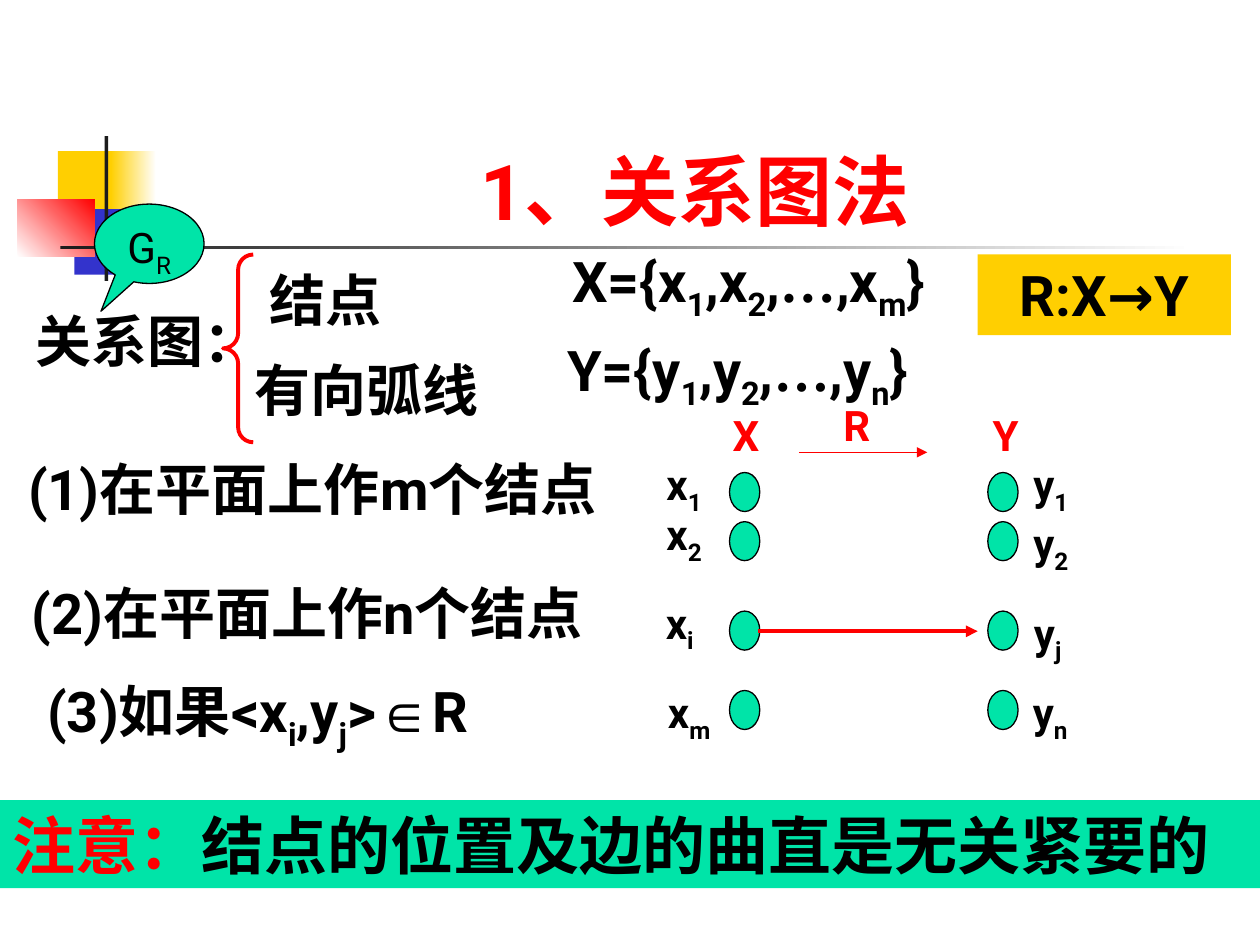
from itertools import groupby
from lxml.etree import SubElement
from pptx import Presentation
from pptx.dml.color import RGBColor
from pptx.enum.shapes import MSO_CONNECTOR, MSO_SHAPE
from pptx.enum.text import MSO_ANCHOR, MSO_AUTO_SIZE, PP_ALIGN
from pptx.oxml.ns import qn
from pptx.util import Inches, Pt

THEME = {
    "red": RGBColor(0xFF, 0x00, 0x00),
    "black": RGBColor(0x00, 0x00, 0x00),
    "white": RGBColor(0xFF, 0xFF, 0xFF),
    "ink": RGBColor(0x1C, 0x1C, 0x1C),
    "yellow": RGBColor(0xFF, 0xCF, 0x01),
    "blue": RGBColor(0x33, 0x33, 0xCC),
    "green": RGBColor(0x00, 0xE4, 0xA8),
    "title": 44, "note": 36, "body": 32, "label": 24,
    "thin": 0.75, "thick": 2.25,
    "font": "Roboto",
    "symbol fonts": {"…": "Times New Roman", "∈": "Arial"},
}

presentation = Presentation()
presentation.slide_width, presentation.slide_height = Inches(10), Inches(7.5)
CELL = presentation.slide_width / 100
slide = presentation.slides.add_slide(presentation.slide_layouts[5])


def add_box(kind, box, fill=None, line=None, weight="thin"):
    left, top, width, height = (int(cells * CELL) for cells in box)
    if kind is None:
        return slide.shapes.add_textbox(left, top, width, height)
    shape = slide.shapes.add_shape(kind, left, top, width, height)
    shape.shadow.inherit = False
    if fill is None:
        shape.fill.background()
    elif isinstance(fill, str):
        shape.fill.solid()
        shape.fill.fore_color.rgb = THEME[fill]
    else:
        start, end, angle = fill
        shape.fill.gradient()
        shape.fill.gradient_angle = angle
        for stop, color in zip(shape.fill.gradient_stops, (start, end)):
            stop.color.rgb = THEME[color]
    if line:
        shape.line.color.rgb = THEME[line]
        shape.line.width = Pt(THEME[weight])
    else:
        shape.line.fill.background()
    return shape


def write(shape, pieces, size, bold=True, align=PP_ALIGN.CENTER, **frame_format):
    frame_values = {"word_wrap": True, "auto_size": MSO_AUTO_SIZE.SHAPE_TO_FIT_TEXT,
                    "vertical_anchor": MSO_ANCHOR.TOP, **frame_format}
    for name, value in frame_values.items():
        setattr(shape.text_frame, name, value)
    paragraph = shape.text_frame.paragraphs[0]
    paragraph.alignment = align
    for text, color in pieces:
        marked = [(character, before == "_") for before, character in zip(" " + text, text)
                  if character != "_"]
        styled = groupby(marked, lambda item: (item[1], THEME["symbol fonts"].get(item[0], THEME["font"])))
        for (subscript, typeface), characters in styled:
            run = paragraph.add_run()
            run.text = "".join(character for character, _ in characters)
            for name, value in {"name": typeface, "size": Pt(THEME[size]), "bold": bold}.items():
                setattr(run.font, name, value)
            run.font.color.rgb = THEME[color]
            properties = run.font._element if hasattr(run.font, "_element") else run._r.get_or_add_rPr()
            SubElement(properties, qn("a:ea"), typeface=typeface)
            if subscript:
                properties.set("baseline", "-25000")


decorations = [
    ((4.6, 12, 4.8, 5.2), "yellow"),
    ((8.8, 12, 3.6, 5.2), ("yellow", "white", 0)),
    ((5.9, 16.6, 4.6, 5.2), "blue"),
    ((10, 16.6, 4, 5.2), ("blue", "white", 0)),
    ((1.4, 15.8, 6.1, 4.6), ("white", "red", 45)),
    ((8.3, 10.8, 0.3, 11.5), "ink"),
    ((4.8, 19.5, 90, 0.3), ("ink", "white", 0)),
]
for box, fill in decorations:
    add_box(MSO_SHAPE.RECTANGLE, box, fill)

title = slide.shapes.title
for name, cells in {"left": 12.6, "top": 6.7, "width": 85.2, "height": 12.5}.items():
    setattr(title, name, int(cells * CELL))
write(title, [("1、关系图法", "red")], "title",
      auto_size=MSO_AUTO_SIZE.NONE, vertical_anchor=MSO_ANCHOR.BOTTOM)

note = add_box(MSO_SHAPE.RECTANGLE, (0, 63.5, 100, 7), "green")
write(note, [("注意：", "red"), ("结点的位置及边的曲直是无关紧要的", "black")],
      "note", align=PP_ALIGN.LEFT)

brace = add_box(MSO_SHAPE.LEFT_BRACE, (17.7, 20.2, 2.4, 14.9), None, "red", "thick")
brace.adjustments[0] = 0.5

statements = [
    ("关系图：", (1, 23.8, 21.4, 6.4), True),
    ("结点", (19.8, 20.6, 12.1, 6.4), True),
    ("有向弧线", (19.2, 27.7, 19.8, 6.4), False),
    ("X={x_1,x_2,…,x_m}", (43.2, 19.1, 32.4, 7.1), False),
    ("Y={y_1,y_2,…,y_n}", (42.9, 26.1, 31.3, 7.1), False),
    ("(1)在平面上作m个结点", (-0.4, 35.6, 50.4, 11.7), True),
    ("(2)在平面上作n个结点", (-0.4, 45.4, 49.6, 6.4), True),
    ("(3)如果<x_i,y_j>∈R", (-0.4, 53.2, 41.7, 7.1), True),
]
for text, box, wrap in statements:
    write(add_box(None, box), [(text, "black")], "body", word_wrap=wrap)

relation = add_box(MSO_SHAPE.RECTANGLE, (77.6, 20.2, 20.1, 6.4), "yellow")
write(relation, [("R:X→Y", "black")], "body")

node_tops = (37.5, 41.4, 48.5, 54.8)
node_columns = [
    (57.9, [("x_1", 51.8, 35.9, 5), ("x_2", 51.8, 39.9, 5),
            ("x_i", 51.7, 46.9, 4.5), ("x_m", 51.8, 54, 5.8)]),
    (78.4, [("y_1", 80.9, 35.9, 5), ("y_2", 80.9, 40.6, 5),
            ("y_j", 80.9, 47.7, 4.5), ("y_n", 80.8, 54, 5.1)]),
]
for node_left, labels in node_columns:
    for node_top, (text, left, top, width) in zip(node_tops, labels):
        add_box(MSO_SHAPE.OVAL, (node_left, node_top, 2.4, 3.1), "green", "black")
        write(add_box(None, (left, top, width, 5.6)), [(text, "black")], "label", word_wrap=False)

for text, left, top in [("X", 57.1, 32), ("Y", 77.7, 32), ("R", 65.9, 31.2)]:
    write(add_box(None, (left, top, 4.2, 5)), [(text, "red")], "label", word_wrap=False)

for start, end, row, weight in [(60.2, 77.6, 50.1, "thick"), (63.4, 73.6, 35.9, "thin")]:
    arrow = slide.shapes.add_connector(
        MSO_CONNECTOR.STRAIGHT, *(int(cells * CELL) for cells in (start, row, end, row)))
    arrow.line.color.rgb = THEME["red"]
    arrow.line.width = Pt(THEME[weight])
    properties = arrow.element.spPr
    SubElement(properties.find(qn("a:ln")), qn("a:tailEnd"), type="triangle")
    SubElement(properties, qn("a:effectLst"))

callout = add_box(MSO_SHAPE.OVAL_CALLOUT, (7.5, 16.2, 8.7, 6.3), "green", "black")
callout.adjustments[0], callout.adjustments[1] = -0.44, 0.85
write(callout, [("G_R", "black")], "label", bold=False, auto_size=MSO_AUTO_SIZE.NONE)

presentation.save("out.pptx")
